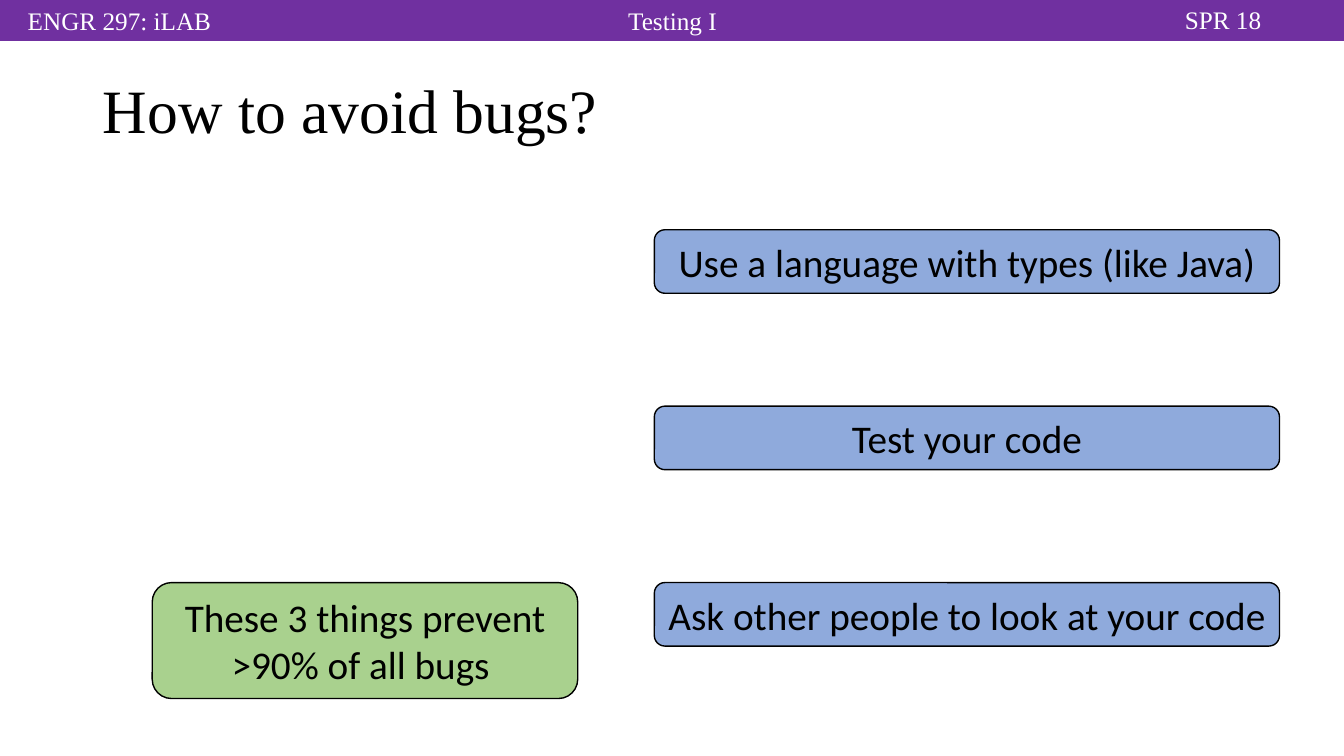
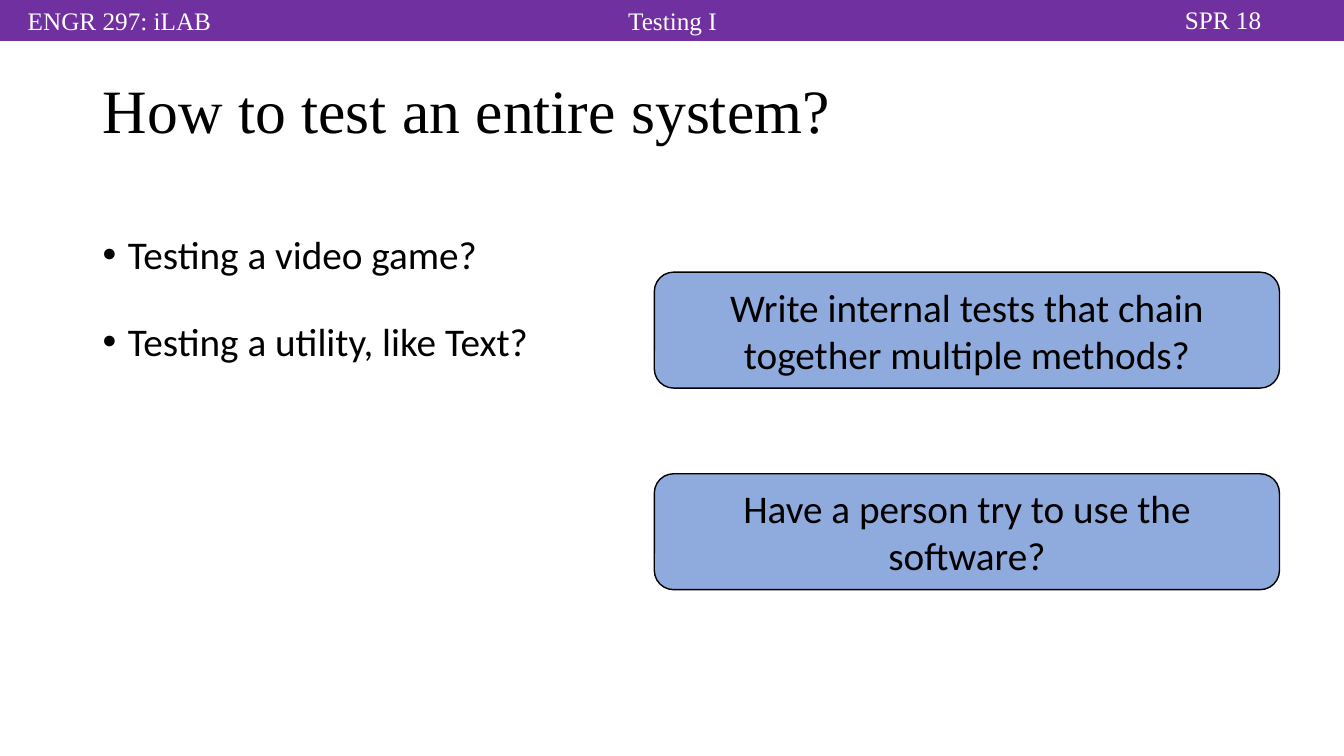
import pptx
import pptx.util
import pptx.dml.color
import pptx.enum.shapes
import pptx.enum.text
from lxml import etree

Inches = pptx.util.Inches
Pt = pptx.util.Pt
Kind = pptx.enum.shapes.MSO_SHAPE
Align = pptx.enum.text.PP_ALIGN
Anchor = pptx.enum.text.MSO_ANCHOR
Fit = pptx.enum.text.MSO_AUTO_SIZE

PURPLE, BLUE, GREEN = "7030A0", "8FAADC", "A9D18E"
BLACK, WHITE = "000000", "FFFFFF"
SERIF, SANS = "Times New Roman", "Calibri"
WIDE = 13.33
BAND = 0.4
LABELS = [
    ("Testing I", 4.42, 0, 4.5),
    ("SPR 18", 10.92, -0.01, 2.42),
    ("ENGR 297: iLAB", -0.05, 0, 2.47),
]
ANSWERS = (6.49, 2.28, 6.2, 0.63)
CLAIM = (1.51, 5.78, 4.22, 1.15)
IDEAS = (6.49, 2.7, 6.2, 1.15)
BODY = (0.92, 2, 11.5, 4.76)


def color(code):
    """Return the colour of a hex string."""
    return pptx.dml.color.RGBColor.from_string(code)


def place(box):
    """Turn a box in inches into lengths."""
    return [Inches(part) for part in box]


def style(frame, font, size, code, align=Align.LEFT):
    """Format every paragraph and run of a text frame."""
    for para in frame.paragraphs:
        para.alignment = align
        for run in para.runs:
            run.font.name = font
            run.font.size = Pt(size)
            run.font.color.rgb = color(code)


def panel(slide, kind, box, fill, line):
    """Draw a filled shape with a thin outline."""
    shape = slide.shapes.add_shape(kind, *place(box))
    shape.shadow.inherit = False
    shape.fill.solid()
    shape.fill.fore_color.rgb = color(fill)
    shape.line.color.rgb = color(line)
    shape.line.width = Pt(1)
    return shape


def header(slide):
    """Draw the top band and its three labels."""
    panel(slide, Kind.RECTANGLE, (0, 0, WIDE, BAND), PURPLE, PURPLE)
    for text, left, top, width in LABELS:
        label = slide.shapes.add_textbox(*place((left, top, width, BAND)))
        frame = label.text_frame
        frame.word_wrap = True
        frame.text = text
        style(frame, SERIF, 18, WHITE, Align.CENTER)


def start(deck, text):
    """Add a slide with its band and title."""
    slide = deck.slides.add_slide(deck.slide_layouts[5])
    header(slide)
    title = slide.shapes.title
    title.left, title.top, title.width, title.height = place((0.92, 0.4, 11.5, 1.45))
    frame = title.text_frame
    frame.text = text
    frame.auto_size = Fit.NONE
    frame.vertical_anchor = Anchor.MIDDLE
    frame.paragraphs[0].line_spacing = 0.9
    style(frame, SERIF, 44, BLACK)
    return slide


def card(slide, text, box, fill=BLUE):
    """Draw a rounded card with centred text."""
    frame = panel(slide, Kind.ROUNDED_RECTANGLE, box, fill, BLACK).text_frame
    frame.word_wrap = True
    frame.text = text
    style(frame, SANS, 28, BLACK, Align.CENTER)


def stack(slide, texts, box, step):
    """Draw cards below one another, a fixed step apart."""
    left, top, width, height = box
    for row, text in enumerate(texts):
        card(slide, text, (left, top + row * step, width, height))


def bullets(slide, texts, box):
    """Write a bulleted list in the box."""
    frame = slide.shapes.add_textbox(*place(box)).text_frame
    frame.word_wrap = True
    frame.text = "\n".join(texts)
    style(frame, SANS, 28, BLACK)
    for para in frame.paragraphs:
        para.line_spacing = 1.5
        para.space_before = Pt(12)
        props = para._p.get_or_add_pPr()
        props.set("marL", str(Inches(0.25)))
        props.set("indent", str(Inches(-0.25)))
        space = pptx.oxml.ns.nsdecls("a")
        for mark in ('buFont %s typeface="Arial"', 'buChar %s char="•"'):
            props.append(etree.fromstring(f"<a:{mark % space}/>"))


def avoid(deck):
    """Build the slide on avoiding bugs."""
    slide = start(deck, "How to avoid bugs?")
    stack(slide, [
        "Use a language with types (like Java)",
        "Test your code",
        "Ask other people to look at your code",
    ], ANSWERS, 1.75)
    card(slide, "These 3 things prevent >90% of all bugs ", CLAIM, GREEN)


def system(deck):
    """Build the slide on testing a system."""
    slide = start(deck, "How to test an entire system?")
    bullets(slide, ["Testing a video game?", "Testing a utility, like Text?"], BODY)
    stack(slide, [
        "Write internal tests that chain together multiple methods?",
        "Have a person try to use the software?",
    ], IDEAS, 2)


def main():
    """Build and save the deck."""
    deck = pptx.Presentation()
    deck.slide_width, deck.slide_height = place((WIDE, 7.5))
    avoid(deck)
    system(deck)
    deck.save("out.pptx")


if __name__ == "__main__":
    main()
